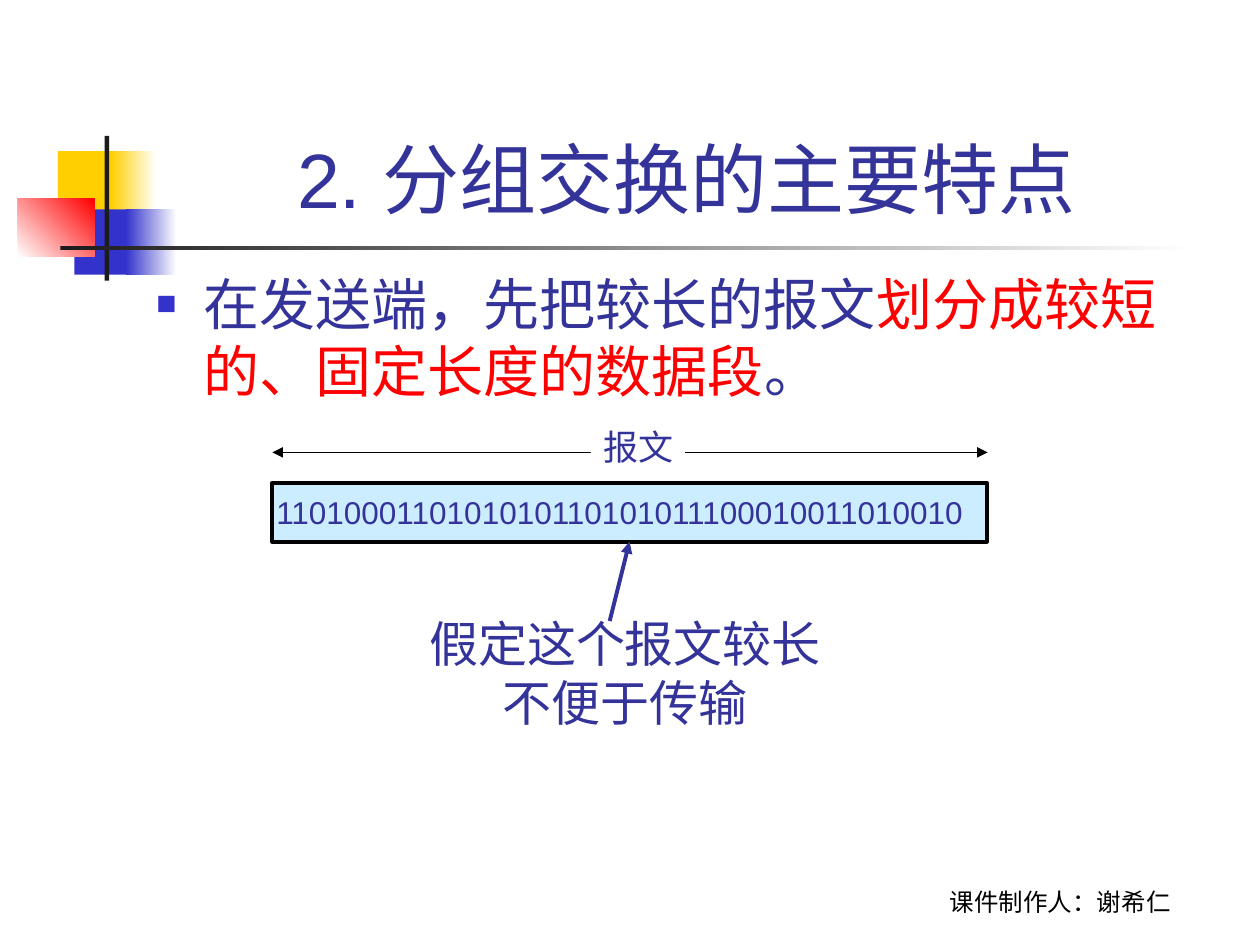
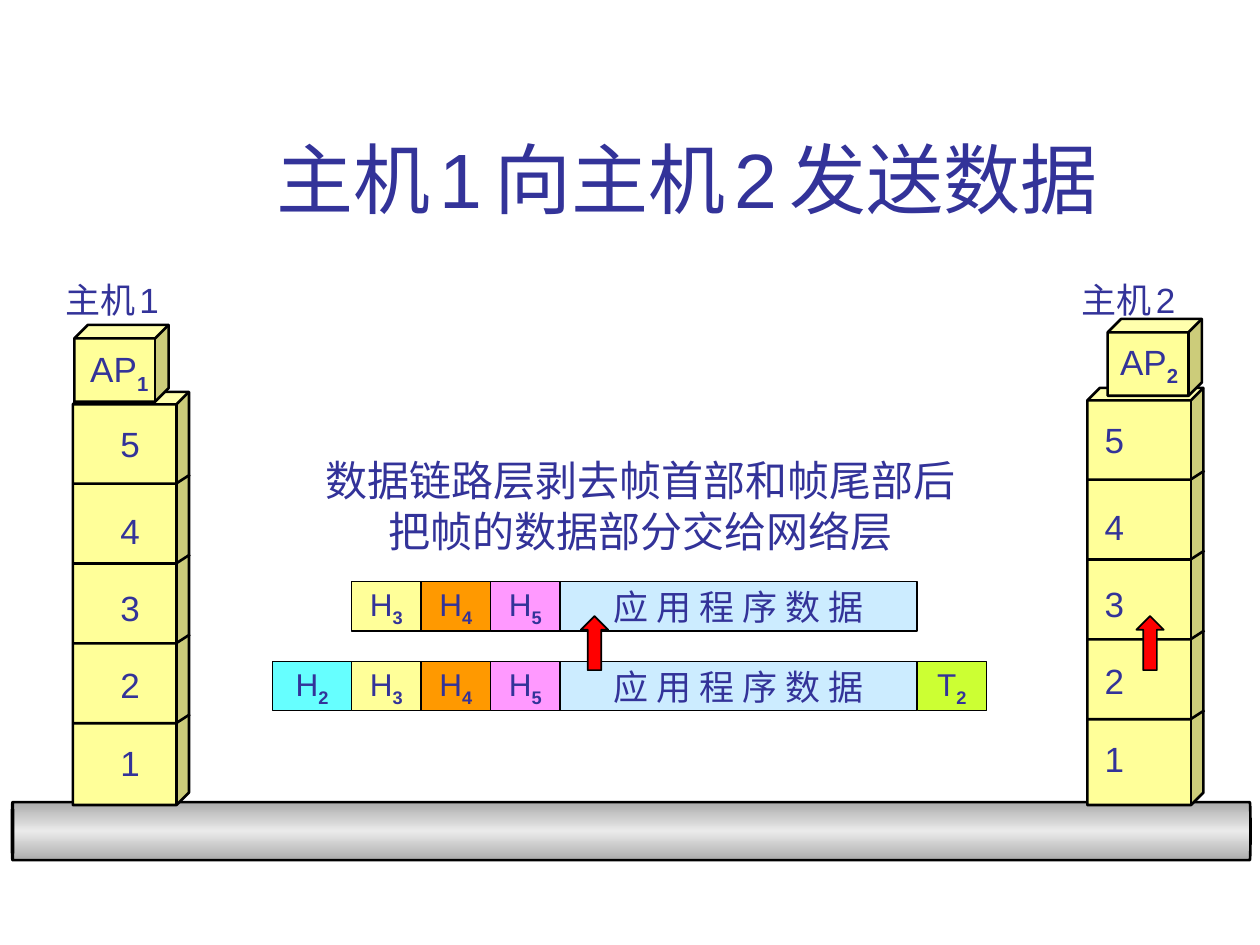
import copy

import lxml.etree
import pptx
import pptx.dml.color
import pptx.enum.shapes
import pptx.enum.text
import pptx.oxml.ns
import pptx.util

Cm = pptx.util.Cm
Pt = pptx.util.Pt
RGBColor = pptx.dml.color.RGBColor
Shapes = pptx.enum.shapes.MSO_SHAPE
Align = pptx.enum.text.PP_ALIGN
Anchor = pptx.enum.text.MSO_ANCHOR

INDIGO = RGBColor(0x33, 0x33, 0x99)
BLUE = RGBColor(0x33, 0x33, 0xCC)
GOLD = RGBColor(0xFF, 0xCF, 0x01)
RED = RGBColor(0xFF, 0x00, 0x00)
CHARCOAL = RGBColor(0x1C, 0x1C, 0x1C)
BLACK = RGBColor(0x00, 0x00, 0x00)
WHITE = RGBColor(0xFF, 0xFF, 0xFF)
ICE = RGBColor(0xCC, 0xEC, 0xFF)
CREAM = RGBColor(0xFF, 0xFF, 0x99)
ORANGE = RGBColor(0xFF, 0x99, 0x00)
PINK = RGBColor(0xFF, 0x99, 0xFF)
CYAN = RGBColor(0x66, 0xFF, 0xFF)
LIME = RGBColor(0xCC, 0xFF, 0x33)
STEEL = RGBColor(0xAC, 0xAC, 0xAC)
SILVER = RGBColor(0xEA, 0xEA, 0xEA)

TITLE_ONLY, TITLE_AND_BODY = 5, 1


def child(parent, tag, **attributes):
    return lxml.etree.SubElement(parent, pptx.oxml.ns.qn(tag), attributes)


class Deck:
    font = "Arial"
    color = INDIGO

    def __init__(self):
        self.presentation = pptx.Presentation()
        self.presentation.slide_width = Cm(25.4)
        self.presentation.slide_height = Cm(19.05)
        self.slide = None

    def new_slide(self, layout, title):
        layouts = self.presentation.slide_layouts
        self.slide = self.presentation.slides.add_slide(layouts[layout])
        shape = self.slide.shapes.title
        self.place(shape, 3.2, 0.58, 21.64, 4.06)
        self.set_text(shape, [title], 44, align=Align.CENTER, anchor=Anchor.BOTTOM)

    def place(self, shape, left, top, width, height):
        shape.left, shape.top = Cm(left), Cm(top)
        shape.width, shape.height = Cm(width), Cm(height)

    def set_text(self, shape, paragraphs, size, font=None, color=None,
                 align=Align.LEFT, anchor=Anchor.TOP, wrap=True):
        frame = shape.text_frame
        frame.auto_size = pptx.enum.text.MSO_AUTO_SIZE.NONE
        frame.word_wrap = wrap
        frame.vertical_anchor = anchor
        for index, pieces in enumerate(paragraphs):
            paragraph = frame.add_paragraph() if index else frame.paragraphs[0]
            paragraph.alignment = align
            if isinstance(pieces, str):
                pieces = [(pieces, {})]
            for text, style in pieces:
                run = paragraph.add_run()
                run.text = text
                run.font.name = font or self.font
                run.font.size = Pt(style.get("size", size))
                run.font.color.rgb = style.get("color", color or self.color)
                if style.get("subscript"):
                    run.font.bold = True
                    run.font._element.set("baseline", "-25000")

    def text(self, left, top, width, height, paragraphs, size, **style):
        box = self.slide.shapes.add_textbox(Cm(left), Cm(top), Cm(width), Cm(height))
        self.set_text(box, paragraphs, size, **style)
        return box

    def bullets(self, left, top, width, height, paragraphs, size):
        body = self.slide.placeholders[1]
        self.place(body, left, top, width, height)
        self.set_text(body, paragraphs, size)
        for paragraph in body.text_frame.paragraphs:
            paragraph.space_before = Pt(8)
            properties = paragraph._p.get_or_add_pPr()
            child(child(properties, "a:buClr"), "a:srgbClr", val=str(BLUE))
            child(properties, "a:buSzPct", val="60000")
            child(properties, "a:buFont", typeface=self.font)
            child(properties, "a:buChar", char="■")

    def shape(self, kind, left, top, width, height, fill, line=None, weight=1.5):
        shape = self.slide.shapes.add_shape(kind, Cm(left), Cm(top), Cm(width), Cm(height))
        shape.shadow.inherit = False
        shape.fill.solid()
        shape.fill.fore_color.rgb = fill
        self.outline(shape, line, weight)
        return shape

    def outline(self, shape, color, weight):
        if color is None:
            shape.line.fill.background()
        else:
            shape.line.color.rgb = color
            shape.line.width = Pt(weight)

    def gradient(self, shape, colors, angle=0):
        shape.fill.gradient()
        shape.fill.gradient_angle = angle
        stops = shape.fill._fill._gradFill.gsLst
        for _ in colors[2:]:
            stops.append(copy.deepcopy(stops[0]))
        for index, (stop, color) in enumerate(zip(shape.fill.gradient_stops, colors)):
            stop.position = index / (len(colors) - 1)
            stop.color.rgb = color

    def line(self, start, end, color, weight, heads=("tailEnd",)):
        connector = self.slide.shapes.add_connector(
            pptx.enum.shapes.MSO_CONNECTOR.STRAIGHT, *map(Cm, start + end))
        self.outline(connector, color, weight)
        for head in heads:
            child(connector.line._get_or_add_ln(), "a:" + head, type="triangle")
        child(connector._element.spPr, "a:effectLst")
        return connector

    def polyline(self, points, color, weight):
        start, *rest = [(Cm(x), Cm(y)) for x, y in points]
        builder = self.slide.shapes.build_freeform(*start)
        builder.add_line_segments(rest, close=False)
        shape = builder.convert_to_shape()
        shape.shadow.inherit = False
        shape.fill.background()
        self.outline(shape, color, weight)

    def decoration(self):
        blocks = [
            (1.17, 3.05, 1.22, 1.32, [GOLD], 0),
            (2.24, 3.05, 0.91, 1.32, [GOLD, WHITE], 0),
            (1.5, 4.22, 1.17, 1.32, [BLUE], 0),
            (2.54, 4.22, 1.02, 1.32, [BLUE, WHITE], 0),
            (0.36, 4.01, 1.55, 1.17, [WHITE, RED], 45),
            (2.11, 2.74, 0.09, 2.92, [CHARCOAL], 0),
            (1.22, 4.95, 22.86, 0.09, [CHARCOAL, WHITE], 0),
        ]
        for left, top, width, height, colors, angle in blocks:
            block = self.shape(Shapes.RECTANGLE, left, top, width, height, colors[0])
            if len(colors) > 1:
                self.gradient(block, colors, angle)

    def footer(self, text):
        self.text(17.35, 17.32, 8.05, 1.27, [text], 14, font="Karla", color=BLACK,
                  align=Align.CENTER, anchor=Anchor.BOTTOM)

    def cells(self, left, top, fields):
        for width, fill, pieces, size, font in fields:
            cell = self.shape(Shapes.RECTANGLE, left, top, width, 0.99, fill, BLACK, 0.75)
            self.set_text(cell, [pieces], size, font=font, align=Align.CENTER,
                          anchor=Anchor.MIDDLE, wrap=False)
            left += width

    def tower(self, left, top, number_offset):
        cube = self.shape(Shapes.CUBE, left, top, 2.34, 16.23 - top, CREAM, BLACK)
        cube.adjustments[0] = 0.108
        for number, offset in zip("54321", (0.5, 2.25, 3.8, 5.35, 6.93)):
            self.text(left + number_offset, top + offset, 0.89, 1.12, [number], 20, wrap=False)
        for floor in range(4):
            y = top + 1.85 + 1.61 * floor
            self.polyline([(left, y), (left + 2.08, y), (left + 2.36, y - 0.18)], BLACK, 1.5)

    def application(self, number, cube_left, cube_top, text_left, text_top):
        cube = self.shape(Shapes.CUBE, cube_left, cube_top, 1.9, 1.55, CREAM, BLACK)
        cube.adjustments[0] = 0.176
        self.text(text_left, text_top, 1.68, 1.22, [indexed("AP", number)], 20, wrap=False)


def indexed(letters, number):
    return [(letters, {}), (number, {"subscript": True})]


def header_field(letter, number, fill, width=1.4):
    return width, fill, indexed(letter, number), 18, "Arial"


def packet_features(deck):
    deck.new_slide(TITLE_AND_BODY, "2. 分组交换的主要特点 ")
    deck.decoration()
    deck.footer("课件制作人：谢希仁")
    deck.bullets(2.9, 5.31, 21.59, 11.43, [[
        ("在发送端，先把较长的报文", {}),
        ("划分成较短的、固定长度的数据段", {"color": RED}),
        ("。", {}),
    ]], 32)

    deck.line((5.49, 9.12), (19.91, 9.12), BLACK, 0.75, ("headEnd", "tailEnd"))
    label = deck.shape(Shapes.RECTANGLE, 11.91, 8.46, 1.9, 1.12, WHITE)
    deck.set_text(label, ["报文"], 20, font="Times New Roman", wrap=False)

    message = deck.shape(Shapes.RECTANGLE, 5.49, 9.73, 14.4, 1.19, ICE, BLACK, 2.25)
    deck.set_text(message, ["1101000110101010110101011100010011010010"], 18,
                  anchor=Anchor.MIDDLE)
    message.text_frame.margin_left = Cm(0.08)
    message.text_frame.margin_right = 0

    deck.text(8.41, 12.24, 8.38, 2.64, ["假定这个报文较长", "不便于传输"], 28,
              font="Karla", align=Align.CENTER, wrap=False)
    pointer = deck.line((12.29, 12.52), (12.69, 10.92), INDIGO, 2.25)
    pointer.end_connect(message, 2)


def host_transfer(deck):
    gap = (" ", {"size": 24})
    deck.new_slide(TITLE_ONLY, [
        ("主机", {}), gap, ("1", {}), gap, ("向主机", {}), gap, ("2", {}), gap, ("发送数据 ", {}),
    ])

    cable = deck.shape(Shapes.CAN, 12.14, 4.27, 1.17, 24.97, STEEL, BLACK)
    cable.rotation = 270
    cable.adjustments[0] = 0.023
    deck.gradient(cable, [STEEL, SILVER, STEEL])

    deck.tower(1.47, 7.9, 0.71)
    deck.tower(21.92, 7.82, 0.1)
    for number, left in (("1", 1.07), ("2", 21.56)):
        host = [("主机", {}), (" ", {"size": 10}), (number, {})]
        deck.text(left, 5.49, 2.46, 1.12, [host], 20, wrap=False)
    deck.application("1", 1.5, 6.55, 1.57, 6.88)
    deck.application("2", 22.33, 6.43, 22.33, 6.73)

    deck.text(6.3, 9.04, 13.21, 2.29,
              ["数据链路层剥去帧首部和帧尾部后", "把帧的数据部分交给网络层"], 24,
              align=Align.CENTER, wrap=False)

    packet = [
        header_field("H", "3", CREAM),
        header_field("H", "4", ORANGE),
        header_field("H", "5", PINK),
        (7.2, ICE, "应 用 程 序 数 据", 20, "Karla"),
    ]
    frame = [header_field("H", "2", CYAN, 1.6), *packet, header_field("T", "2", LIME)]
    deck.cells(7.09, 11.73, packet)
    deck.cells(5.49, 13.34, frame)

    for left in (22.91, 11.71):
        deck.shape(Shapes.UP_ARROW, left, 12.42, 0.55, 1.09, RED, BLACK, 1)


def main():
    deck = Deck()
    packet_features(deck)
    host_transfer(deck)
    deck.presentation.save("out.pptx")


if __name__ == "__main__":
    main()
